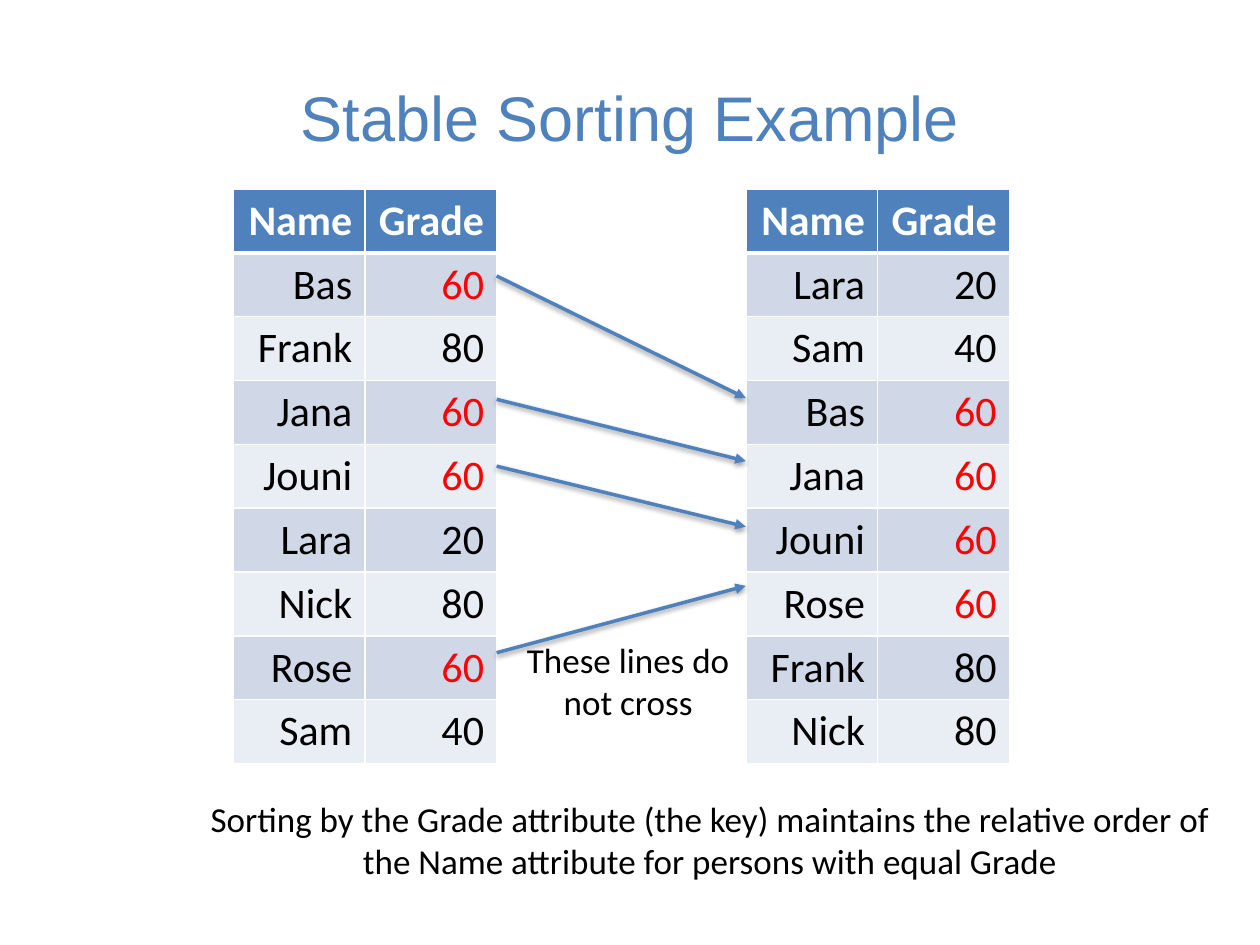
from lxml.etree import SubElement
from pptx import Presentation
from pptx.dml.color import RGBColor
from pptx.enum.shapes import MSO_CONNECTOR
from pptx.enum.text import MSO_ANCHOR, PP_ALIGN
from pptx.oxml import parse_xml
from pptx.oxml.ns import nsdecls, qn
from pptx.util import Pt

BLUE, RED, BLACK, WHITE = "4F81BD", "FF0000", "000000", "FFFFFF"
BANDS = ["D0D8E8", "E9EDF4"]
TABLE_TOP, COLUMN_WIDTH, ROW_HEIGHT = 108, 75.3, 36.5
LEFT_TABLE, RIGHT_TABLE = 133.2, 426.2


def color(hex_string):
    return RGBColor.from_string(hex_string)


def write(frame, text, size=20, font="Calibri", ink=BLACK, bold=False,
          align=PP_ALIGN.CENTER, anchor=MSO_ANCHOR.TOP):
    frame.word_wrap = True
    frame.vertical_anchor = anchor
    para = frame.paragraphs[0]
    para.alignment = align
    span = para.add_run()
    span.text = text
    span.font.name = font
    span.font.size = Pt(size)
    span.font.bold = bold
    span.font.color.rgb = color(ink)


deck = Presentation()
deck.slide_width, deck.slide_height = Pt(720), Pt(540)
page = deck.slides.add_slide(deck.slide_layouts[6])

title = page.shapes.add_textbox(Pt(36), Pt(21.6), Pt(648), Pt(90))
write(title.text_frame, "Stable Sorting Example", size=36, font="Arial",
      ink=BLUE, anchor=MSO_ANCHOR.MIDDLE)

# Sorting by grade alone keeps the name order, since sorted() is stable.
by_name = [("Bas", 60), ("Frank", 80), ("Jana", 60), ("Jouni", 60),
           ("Lara", 20), ("Nick", 80), ("Rose", 60), ("Sam", 40)]
by_grade = sorted(by_name, key=lambda person: person[1])

for left, people in [(LEFT_TABLE, by_name), (RIGHT_TABLE, by_grade)]:
    rows = [("Name", "Grade")] + people
    table = page.shapes.add_table(
        len(rows), 2, Pt(left), Pt(TABLE_TOP),
        Pt(2 * COLUMN_WIDTH), Pt(len(rows) * ROW_HEIGHT)).table
    for column in table.columns:
        column.width = Pt(COLUMN_WIDTH)
    for row_index, values in enumerate(rows):
        header = row_index == 0
        table.rows[row_index].height = Pt(ROW_HEIGHT)
        for column_index, value in enumerate(values):
            cell = table.cell(row_index, column_index)
            ink = WHITE if header else RED if value == 60 else BLACK
            write(cell.text_frame, str(value), size=24, ink=ink, bold=header,
                  align=PP_ALIGN.RIGHT)
            widths = {"lnL": 1, "lnR": 1, "lnT": 3 if row_index == 1 else 1,
                      "lnB": 3 if header else 1}
            for edge, width in widths.items():
                border = SubElement(cell._tc.get_or_add_tcPr(), qn(f"a:{edge}"),
                                    w=str(Pt(width)))
                fill = SubElement(border, qn("a:solidFill"))
                SubElement(fill, qn("a:srgbClr"), val=WHITE)
            cell.fill.solid()
            cell.fill.fore_color.rgb = color(
                BLUE if header else BANDS[(row_index - 1) % 2])

for start, end in [(157.7, 227.5), (228.2, 263.5), (266.4, 301), (373, 334.8)]:
    arrow = page.shapes.add_connector(
        MSO_CONNECTOR.STRAIGHT, Pt(LEFT_TABLE + 2 * COLUMN_WIDTH), Pt(start),
        Pt(RIGHT_TABLE), Pt(end))
    arrow.line.color.rgb = color(BLUE)
    arrow.line.width = Pt(2)
    SubElement(arrow.line._get_or_add_ln(), qn("a:tailEnd"), type="triangle")
    arrow._element.spPr.append(parse_xml(
        f'<a:effectLst {nsdecls("a")}><a:outerShdw blurRad="{Pt(3.1)}" '
        f'dist="{Pt(1.6)}" dir="5400000" rotWithShape="0">'
        f'<a:srgbClr val="{BLACK}"><a:alpha val="38000"/></a:srgbClr>'
        '</a:outerShdw></a:effectLst>'))

explanation = page.shapes.add_textbox(Pt(113), Pt(452.2), Pt(585.4), Pt(55.7))
write(explanation.text_frame,
      "Sorting by the Grade attribute (the key) maintains the relative order "
      "of the Name attribute for persons with equal Grade")
remark = page.shapes.add_textbox(Pt(283.7), Pt(361.4), Pt(150.5), Pt(55.7))
write(remark.text_frame, "These lines do not cross")

deck.save("out.pptx")
